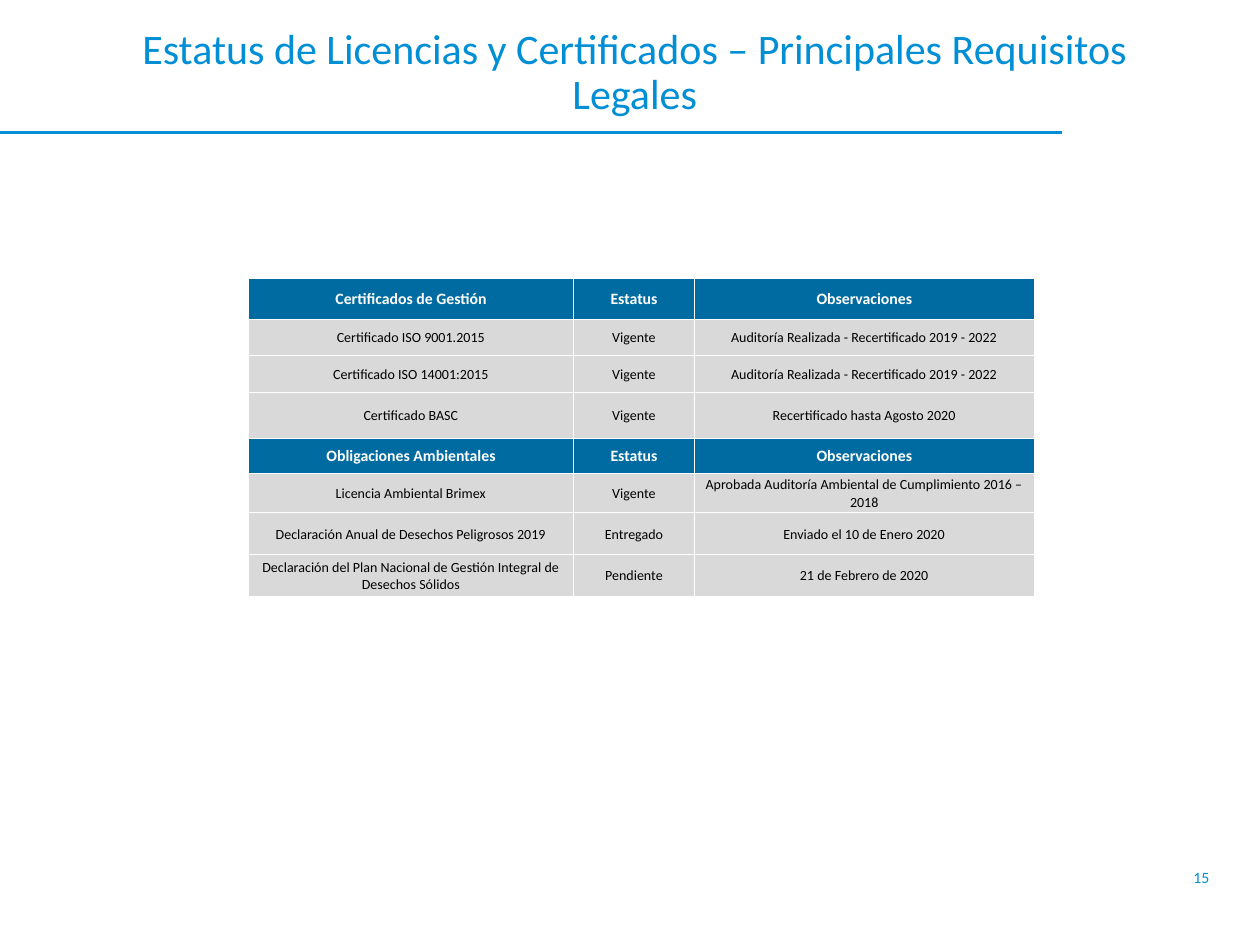
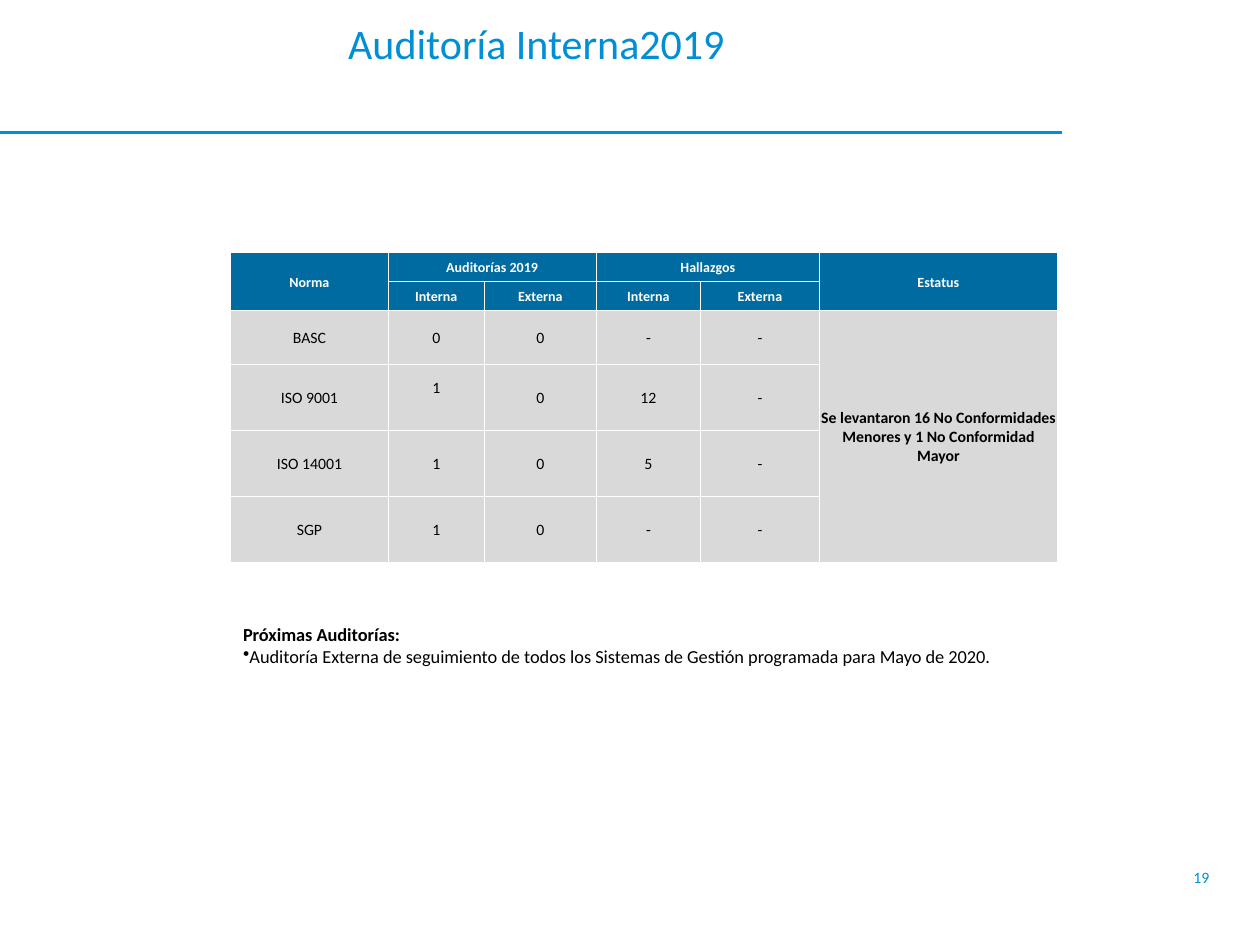
from lxml import etree
from pptx import Presentation
from pptx.dml import color
from pptx.enum import shapes, text
from pptx.oxml import ns
from pptx.util import Pt

FONT = "Calibri"
SKY, NAVY, GREY = "008FD5", "006BA0", "D9D9D9"
WHITE, BLACK = "FFFFFF", "000000"
LEFT, MID = text.PP_ALIGN.LEFT, text.PP_ALIGN.CENTER


def paint(code):
    return color.RGBColor.from_string(code)


def add(node, tag, **attrs):
    return etree.SubElement(node, ns.qn(tag), **attrs)


class Deck:
    def __init__(self):
        self.show = Presentation()
        self.show.slide_width, self.show.slide_height = Pt(720), Pt(540)

    def page(self, num):
        self.slide = self.show.slides.add_slide(self.show.slide_layouts[6])
        self.label((682, 496, 32, 28), [num], 9, SKY)
        self.rule(0, 75.6, 607)

    def rule(self, x, y, end):
        line = self.slide.shapes.add_connector(
            shapes.MSO_CONNECTOR.STRAIGHT, Pt(x), Pt(y), Pt(end), Pt(y))
        line.line.color.rgb = paint(SKY)
        line.line.width = Pt(1.5)
        add(line._element.spPr, "a:effectLst")

    def style(self, para, size, ink, bold=False, align=LEFT):
        para.alignment = align
        for run in para.runs:
            font = run.font
            font.name, font.size, font.bold = FONT, Pt(size), bold
            font.color.rgb = paint(ink)

    def inset(self, item, sides):
        (item.margin_left, item.margin_top,
         item.margin_right, item.margin_bottom) = map(Pt, sides)

    def label(self, place, lines, size, ink, sides=(0, 0, 0, 0), align=LEFT):
        frame = self.slide.shapes.add_textbox(*map(Pt, place)).text_frame
        frame.word_wrap = True
        self.inset(frame, sides)
        frame.text = "\n".join(lines)
        for para in frame.paragraphs:
            self.style(para, size, ink, align=align)
        return frame

    def title(self, x, y, words, top=3.6, anchor=text.MSO_ANCHOR.MIDDLE):
        frame = self.label((x, y, 590, 75.6), [words], 24, SKY,
                           (0, top, 7.2, 0), MID)
        frame.vertical_anchor = anchor
        frame.paragraphs[0].line_spacing = 0.9

    def note(self, place, head, point):
        frame = self.label(place, [head, point], 10.5, BLACK,
                           (7.2, 3.6, 7.2, 3.6))
        first, last = frame.paragraphs
        first.runs[0].font.bold = True
        add(last._p.get_or_add_pPr(), "a:buChar", char="•")

    def edge(self, cell):
        props = cell._tc.get_or_add_tcPr()
        for side in "LRTB":
            line = add(props, "a:ln" + side, w=str(Pt(0.5)))
            add(add(line, "a:solidFill"), "a:srgbClr", val=WHITE)

    def table(self, x, y, cols, rows, data, heads, sizes, spans=()):
        grid = self.slide.shapes.add_table(
            len(rows), len(cols), Pt(x), Pt(y),
            Pt(sum(cols)), Pt(sum(rows))).table
        grid.first_row = grid.horz_banding = False
        for col, width in zip(grid.columns, cols):
            col.width = Pt(width)
        for row, height in zip(grid.rows, rows):
            row.height = Pt(height)
        for r, line in enumerate(data):
            head = r in heads
            for c, words in enumerate(line):
                cell = grid.cell(r, c)
                self.edge(cell)
                cell.fill.solid()
                cell.fill.fore_color.rgb = paint(NAVY if head else GREY)
                cell.vertical_anchor = text.MSO_ANCHOR.MIDDLE
                self.inset(cell, (0.7, 0.7, 0.7, 0))
                cell.text_frame.text = words
                self.style(cell.text_frame.paragraphs[0],
                           sizes[0] if head else sizes[1],
                           WHITE if head else BLACK, head, MID)
        for top, left, end, right in spans:
            grid.cell(top, left).merge(grid.cell(end, right))
        return grid


def permits(deck):
    deck.page("15")
    deck.title(71.3, 2.2, "Estatus de Licencias y Certificados – "
               "Principales Requisitos Legales")
    done = "Auditoría Realizada - Recertificado 2019 - 2022"
    data = [
        ("Certificados de Gestión", "Estatus", "Observaciones"),
        ("Certificado ISO 9001.2015", "Vigente", done),
        ("Certificado ISO 14001:2015", "Vigente", done),
        ("Certificado BASC", "Vigente", "Recertificado hasta Agosto 2020"),
        ("Obligaciones Ambientales", "Estatus", "Observaciones"),
        ("Licencia Ambiental Brimex", "Vigente",
         "Aprobada Auditoría Ambiental de Cumplimiento 2016 – 2018"),
        ("Declaración Anual de Desechos Peligrosos 2019", "Entregado",
         "Enviado el 10 de Enero 2020"),
        ("Declaración del Plan Nacional de Gestión Integral de "
         "Desechos Sólidos", "Pendiente", "21 de Febrero de 2020"),
    ]
    deck.table(142, 159.3, (185.7, 69.2, 194),
               (23, 21, 21, 26.3, 20, 22.4, 24, 24), data, (0, 4), (9, 8))


def audits(deck):
    deck.page("19")
    deck.title(15.1, 0, "Auditoría Interna2019", 13, text.MSO_ANCHOR.TOP)
    data = [
        ("Norma", "Auditorías 2019", "", "Hallazgos", "", "Estatus"),
        ("", "Interna", "Externa", "Interna", "Externa", ""),
        ("BASC", "0", "0", "-", "-",
         "Se levantaron 16 No Conformidades Menores y "
         "1 No Conformidad Mayor"),
        ("ISO 9001", "1", "0", "12", "-", ""),
        ("ISO 14001", "1", "0", "5", "-", ""),
        ("SGP", "1", "0", "-", "-", ""),
    ]
    spans = [(0, 0, 1, 0), (0, 1, 0, 2), (0, 3, 0, 4),
             (0, 5, 1, 5), (2, 5, 5, 5)]
    grid = deck.table(131.8, 144.2, (90, 55, 64, 59.5, 68, 136),
                      (16.7, 16.7, 30.5, 37.8, 37.8, 37.8),
                      data, (0, 1), (8, 9), spans)
    grid.cell(2, 5).text_frame.paragraphs[0].runs[0].font.bold = True
    grid.cell(3, 1).margin_bottom = Pt(11.5)
    deck.note((131.8, 352.8, 460, 45.4), "Próximas Auditorías:",
              "Auditoría Externa de seguimiento de todos los Sistemas de "
              "Gestión programada para Mayo de 2020.")


def main():
    deck = Deck()
    permits(deck)
    audits(deck)
    deck.show.save("out.pptx")


if __name__ == "__main__":
    main()
